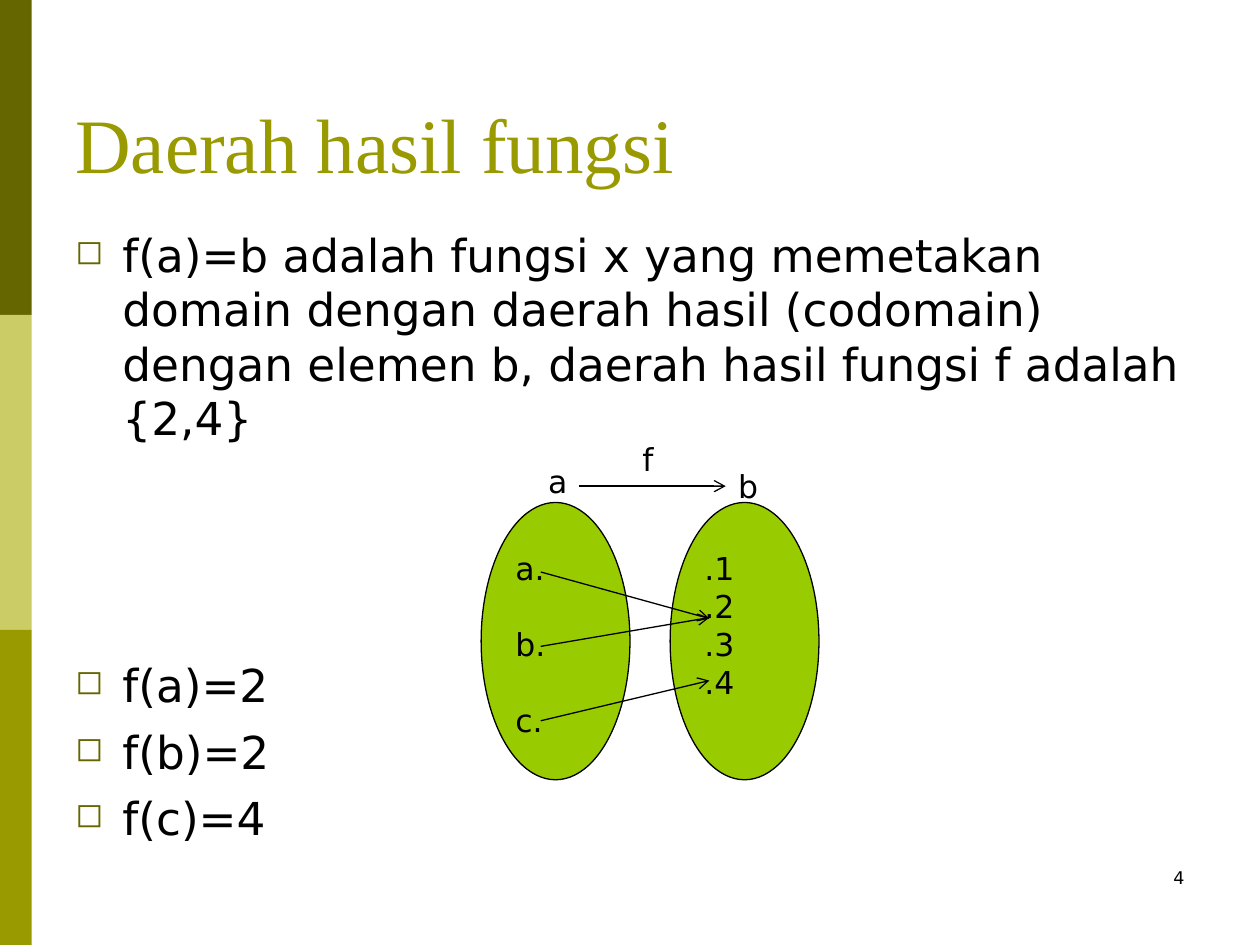
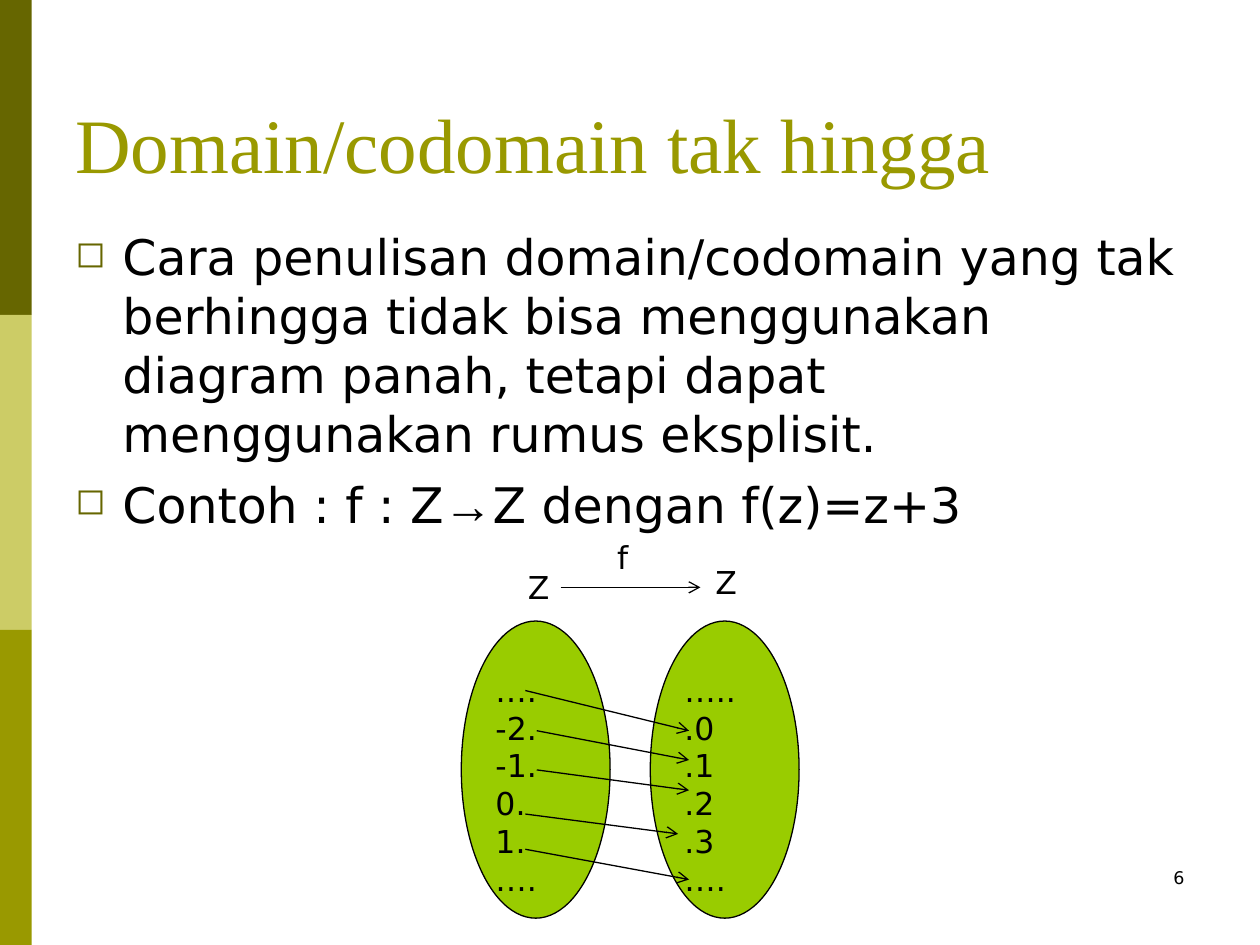
from lxml.etree import SubElement
from pptx import Presentation
from pptx.dml.color import RGBColor
from pptx.enum.shapes import MSO_CONNECTOR, MSO_SHAPE
from pptx.enum.text import MSO_ANCHOR, MSO_AUTO_SIZE, PP_ALIGN
from pptx.oxml.ns import qn
from pptx.util import Cm, Pt

BLACK = "000000"
OLIVE = "999900"
DARK_OLIVE = "666600"
LIGHT_OLIVE = "CCCC66"
GREEN = "99CC00"
BODY_FONT = "DejaVu Sans"
TITLE_FONT = "Times New Roman"
ARROW_FONT = "Arial"
SET_GAP = 3.81
SET_WIDTH = 3


def color(code):
    return RGBColor.from_string(code)


def style(para, size, name=BODY_FONT, code=BLACK):
    para.font.size = Pt(size)
    para.font.name = name
    para.font.color.rgb = color(code)


def add_paragraphs(frame, count):
    return [frame.paragraphs[0]] + [frame.add_paragraph() for _ in range(count - 1)]


def add_text(page, place, text, size, name=BODY_FONT, code=BLACK, wrap=True):
    box = page.shapes.add_textbox(*map(Cm, place))
    frame = box.text_frame
    frame.word_wrap = wrap
    para = frame.paragraphs[0]
    para.text = text
    style(para, size, name, code)
    return frame


def add_preset(page, kind, place, fill):
    shape = page.shapes.add_shape(kind, *map(Cm, place))
    shape.shadow.inherit = False
    shape.fill.solid()
    shape.fill.fore_color.rgb = color(fill)
    shape.line.fill.background()
    return shape


def add_frame(deck, title, number):
    page = deck.slides.add_slide(deck.slide_layouts[6])
    for row, fill in enumerate((DARK_OLIVE, LIGHT_OLIVE, OLIVE)):
        add_preset(page, MSO_SHAPE.RECTANGLE, (0, row * 6.35, 0.64, 6.35), fill)
    heading = add_text(page, (1.27, 0.76, 22.86, 3.18), title, 44, TITLE_FONT, OLIVE)
    heading.vertical_anchor = MSO_ANCHOR.BOTTOM
    footer = add_text(page, (18.21, 17.35, 5.92, 1.27), number, 10)
    footer.paragraphs[0].alignment = PP_ALIGN.RIGHT
    return page


def add_bullet(para):
    props = para._p.get_or_add_pPr()
    props.set("marL", str(Cm(0.95)))
    props.set("indent", str(-Cm(0.95)))
    SubElement(SubElement(props, qn("a:buClr")), qn("a:srgbClr"), val=DARK_OLIVE)
    SubElement(props, qn("a:buSzPct"), val="75000")
    SubElement(props, qn("a:buChar"), char="◻")


def add_bullets(page, items, size):
    box = page.shapes.add_textbox(Cm(1.27), Cm(4.45), Cm(22.86), Cm(12.57))
    box.text_frame.word_wrap = True
    paras = add_paragraphs(box.text_frame, len(items))
    for index, (para, item) in enumerate(zip(paras, items)):
        add_bullet(para)
        if index:
            para.space_before = Pt(7)
        style(para, size)
        for part in item.partition("→"):
            if part:
                span = para.add_run()
                span.text = part
                if part == "→":
                    span.font.name = ARROW_FONT
    return paras


def add_set(page, place, members, gap=0):
    oval = add_preset(page, MSO_SHAPE.OVAL, place, GREEN)
    oval.line.color.rgb = color(BLACK)
    oval.line.width = Pt(0.75)
    frame = oval.text_frame
    frame.word_wrap = True
    frame.vertical_anchor = MSO_ANCHOR.TOP
    for index, para in enumerate(add_paragraphs(frame, len(members))):
        para.text = members[index]
        para.alignment = PP_ALIGN.LEFT
        if index and gap:
            para.space_before = Pt(gap)
        style(para, 18)


def add_arrow(page, ends):
    arrow = page.shapes.add_connector(MSO_CONNECTOR.STRAIGHT, *map(Cm, ends))
    arrow.line.color.rgb = color(BLACK)
    arrow.line.width = Pt(0.75)
    SubElement(arrow.line._get_or_add_ln(), qn("a:tailEnd"), type="arrow")
    SubElement(arrow._element.spPr, qn("a:effectLst"))


def add_mapping(page, left, top, height, domain, codomain, arrows, labels, gap=0):
    add_set(page, (left, top, SET_WIDTH, height), domain, gap)
    add_set(page, (left + SET_GAP, top, SET_WIDTH, height), codomain)
    for ends in arrows:
        add_arrow(page, ends)
    for text, x, y, width in labels:
        frame = add_text(page, (x, y, width, 1.02), text, 18, wrap=False)
        frame.auto_size = MSO_AUTO_SIZE.SHAPE_TO_FIT_TEXT


def build_range(deck):
    page = add_frame(deck, "Daerah hasil fungsi", "4")
    paras = add_bullets(page, [
        "f(a)=b adalah fungsi x yang memetakan domain dengan daerah hasil "
        "(codomain) dengan elemen b, daerah hasil fungsi f adalah {2,4}",
        "f(a)=2", "f(b)=2", "f(c)=4",
    ], 25.9)
    paras[1].space_before = Pt(121.5)
    add_mapping(
        page, 9.7, 10.13, 5.59,
        ["a.", "b.", "c."], [".1", ".2", ".3", ".4"],
        [(10.9, 11.53, 14.3, 12.47), (10.9, 13.03, 14.3, 12.45),
         (10.9, 14.53, 14.3, 13.72), (11.68, 9.8, 14.63, 9.8)],
        [("f", 12.7, 8.74, 0.71), ("a", 10.8, 9.19, 0.86), ("b", 14.63, 9.3, 0.89)],
        gap=21.7)


def build_infinite(deck):
    page = add_frame(deck, "Domain/codomain tak hingga", "6")
    add_bullets(page, [
        "Cara penulisan domain/codomain yang tak berhingga tidak bisa menggunakan "
        "diagram panah, tetapi dapat menggunakan rumus eksplisit.",
        "Contoh : f : Z→Z dengan f(z)=z+3",
    ], 28)
    add_mapping(
        page, 9.3, 12.52, 5.99,
        ["….", "-2.", "-1.", "0.", "1.", "…."],
        ["…..", ".0", ".1", ".2", ".3", "…."],
        [(10.59, 13.92, 13.89, 14.73), (10.82, 14.73, 13.89, 15.32),
         (10.82, 15.52, 13.89, 15.93), (10.59, 16.41, 13.67, 16.81),
         (10.59, 17.12, 13.89, 17.73), (11.3, 11.84, 14.12, 11.84)],
        [("Z", 10.39, 11.33, 0.86), ("Z", 14.17, 11.23, 0.86), ("f", 12.19, 10.72, 0.71)])


def main():
    deck = Presentation()
    deck.slide_width = Cm(25.4)
    deck.slide_height = Cm(19.05)
    build_range(deck)
    build_infinite(deck)
    deck.save("out.pptx")


if __name__ == "__main__":
    main()
